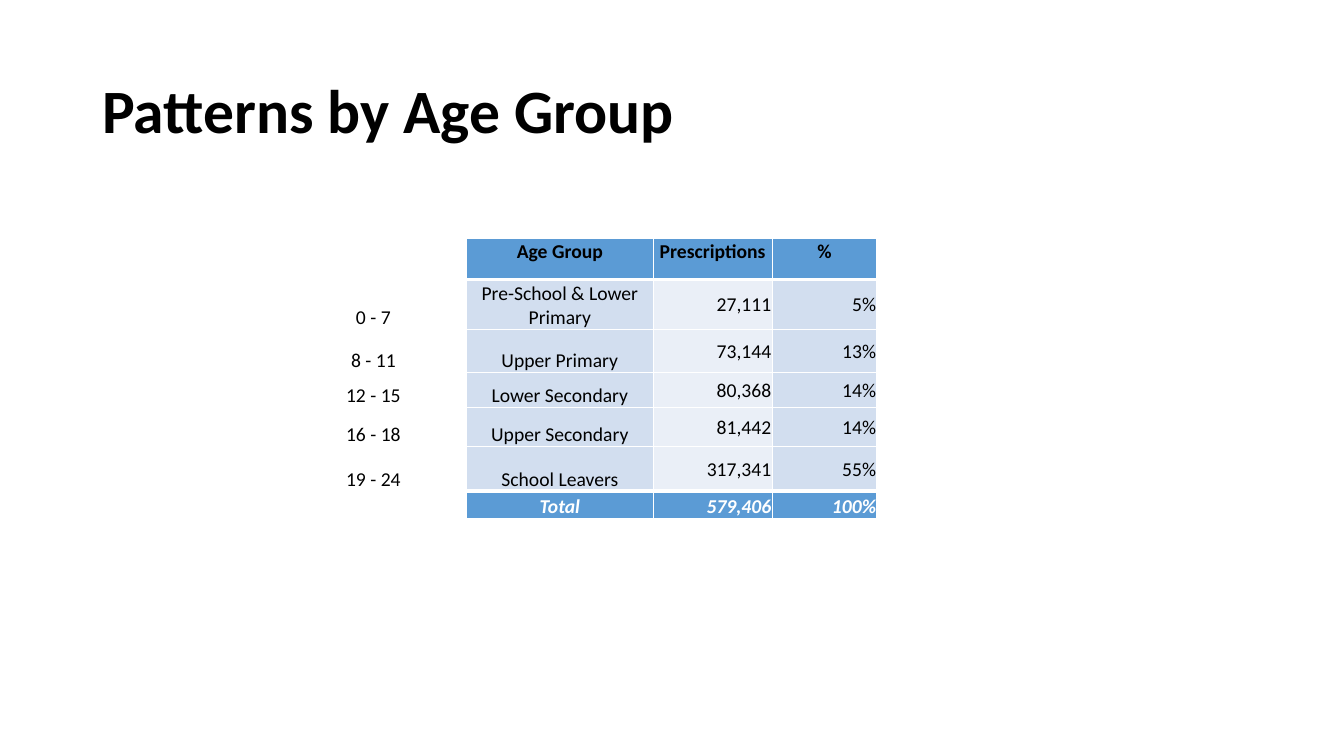
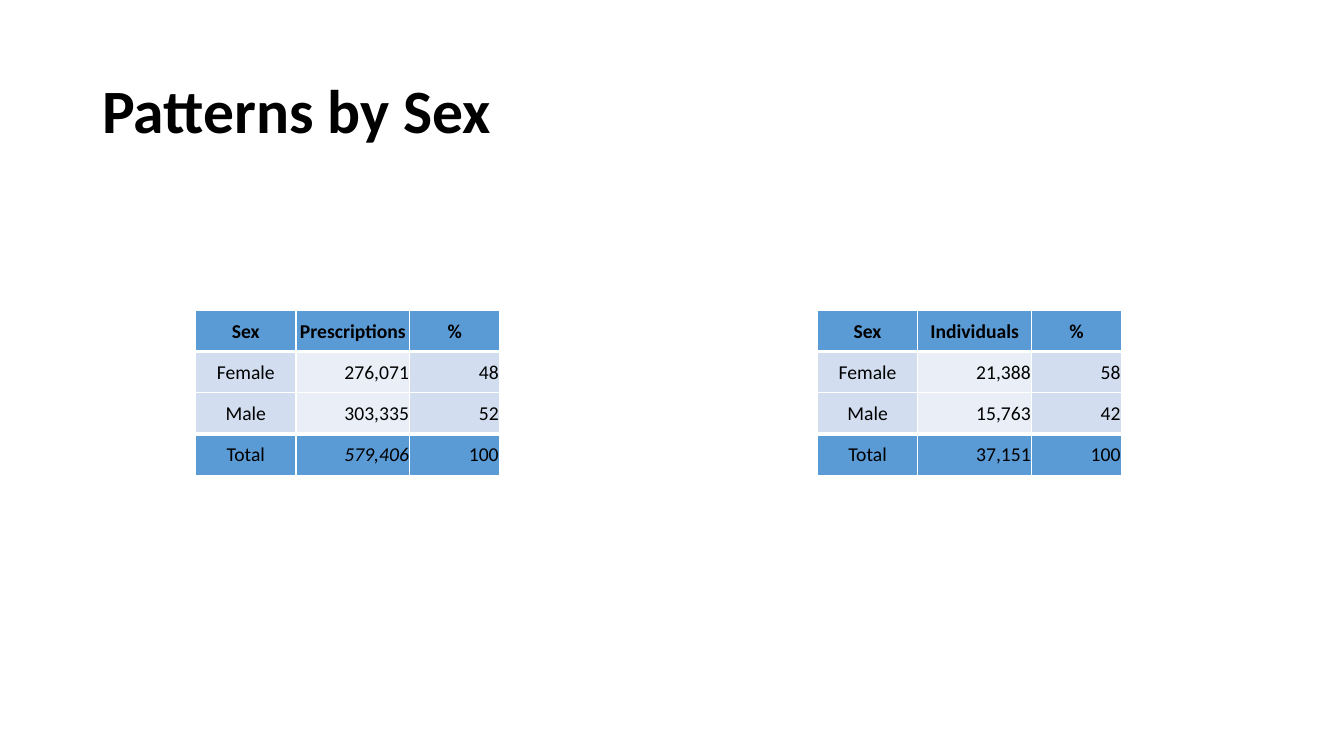
import pptx
import pptx.dml.color
import pptx.enum.text
import pptx.oxml.ns
import pptx.util
from lxml import etree

Cm = pptx.util.Cm
Pt = pptx.util.Pt
RGBColor = pptx.dml.color.RGBColor
ALIGN = pptx.enum.text.PP_ALIGN
ANCHOR = pptx.enum.text.MSO_ANCHOR

BLACK = RGBColor(0x00, 0x00, 0x00)
WHITE = RGBColor(0xFF, 0xFF, 0xFF)
ACCENT = RGBColor(0x5B, 0x9B, 0xD5)
BAND = RGBColor(0xD2, 0xDE, 0xEF)
PALE_BAND = RGBColor(0xEA, 0xEF, 0xF7)

FONT = "Calibri"
TITLE_SIZE = 44
TABLE_SIZE = 14
THIN, THICK = 1, 3


class Deck:
    """Holds the shared style and the slide being filled."""

    def __init__(self):
        self.presentation = pptx.Presentation()
        self.presentation.slide_width = Cm(33.87)
        self.presentation.slide_height = Cm(19.05)
        self.slide = None

    def add_slide(self, title):
        blank = self.presentation.slide_layouts[6]
        self.slide = self.presentation.slides.add_slide(blank)
        heading = self.slide.shapes.add_textbox(Cm(2.33), Cm(1.01), Cm(29.21), Cm(3.68))
        frame = heading.text_frame
        frame.word_wrap = True
        frame.vertical_anchor = ANCHOR.MIDDLE
        frame.text = title
        frame.paragraphs[0].line_spacing = 0.9
        self.style_text(frame, TITLE_SIZE, bold=True)

    def style_text(self, frame, size=TABLE_SIZE, color=BLACK, bold=False, italic=False):
        for paragraph in frame.paragraphs:
            for run in paragraph.runs:
                run.font.name = FONT
                run.font.size = Pt(size)
                run.font.color.rgb = color
                run.font.bold = bold
                run.font.italic = italic

    def set_borders(self, cell, top, bottom):
        """Draw white borders; top and bottom are widths in points."""
        properties = cell._tc.get_or_add_tcPr()
        widths = {"a:lnL": THIN, "a:lnR": THIN, "a:lnT": top, "a:lnB": bottom}
        for tag, width in widths.items():
            line = etree.SubElement(properties, pptx.oxml.ns.qn(tag), w=str(Pt(width)))
            fill = etree.SubElement(line, pptx.oxml.ns.qn("a:solidFill"))
            etree.SubElement(fill, pptx.oxml.ns.qn("a:srgbClr"), val=str(WHITE))

    def fill_cell(self, cell, text, align, anchor, bold=False):
        cell.margin_left = cell.margin_right = cell.margin_top = Cm(0.02)
        cell.margin_bottom = 0
        cell.vertical_anchor = anchor
        cell.text_frame.text = text
        cell.text_frame.paragraphs[0].alignment = align
        self.style_text(cell.text_frame, bold=bold)

    def add_grid(self, left, top, widths, heights):
        """Add an empty table sized by column widths and row heights in cm."""
        table = self.slide.shapes.add_table(
            len(heights), len(widths), Cm(left), Cm(top),
            Cm(sum(widths)), Cm(sum(heights))).table
        table.first_row = table.horz_banding = False
        for column, width in zip(table.columns, widths):
            column.width = Cm(width)
        for row, height in zip(table.rows, heights):
            row.height = Cm(height)
        return table

    def add_data_table(self, left, top, widths, heights, rows,
                       header_anchor=ANCHOR.MIDDLE, label_anchor=ANCHOR.MIDDLE,
                       total_anchor=ANCHOR.MIDDLE):
        """Add a table with a header row, banded columns and a total row."""
        table = self.add_grid(left, top, widths, heights)
        last = len(rows) - 1
        for r, row in enumerate(rows):
            for c, text in enumerate(row):
                cell = table.cell(r, c)
                if r == 0:
                    anchor = header_anchor
                elif r == last:
                    anchor = total_anchor
                else:
                    anchor = label_anchor if c == 0 else ANCHOR.MIDDLE
                align = ALIGN.CENTER if r == 0 or c == 0 else ALIGN.RIGHT
                self.fill_cell(cell, text, align, anchor, bold=r == 0)
                self.set_borders(cell,
                                 top=THICK if r in (1, last) else THIN,
                                 bottom=THICK if r in (0, last - 1) else THIN)
                cell.fill.solid()
                if r in (0, last):
                    cell.fill.fore_color.rgb = ACCENT
                else:
                    cell.fill.fore_color.rgb = PALE_BAND if c == 1 else BAND
        return table

    def add_side_labels(self, left, top, width, heights, labels):
        """Add an unfilled column of labels beside a data table."""
        table = self.add_grid(left, top, [width], heights)
        for r, label in enumerate(labels):
            cell = table.cell(r, 0)
            self.fill_cell(cell, label, ALIGN.CENTER, ANCHOR.BOTTOM)
            cell.fill.background()


def build_age_slide(deck):
    deck.add_slide("Patterns by Age Group")
    left, top = 11.76, 6.02
    widths = [4.7, 3, 2.64]
    heights = [1.02, 1.27, 1.07, 0.89, 0.99, 1.12, 0.69]
    age_groups = deck.add_data_table(left, top, widths, heights, [
        ("Age Group", "Prescriptions", "%"),
        ("Pre-School & Lower Primary", "27,111", "5%"),
        ("Upper Primary", "73,144", "13%"),
        ("Lower Secondary", "80,368", "14%"),
        ("Upper Secondary", "81,442", "14%"),
        ("School Leavers", "317,341", "55%"),
        ("Total", "579,406", "100%"),
    ], header_anchor=ANCHOR.TOP, label_anchor=ANCHOR.BOTTOM, total_anchor=ANCHOR.BOTTOM)
    for total in age_groups.rows[len(heights) - 1].cells:
        deck.style_text(total.text_frame, color=WHITE, bold=True, italic=True)
    deck.add_side_labels(left - widths[0], top + heights[0], widths[0], heights[1:-1],
                         ["0 - 7", "8 - 11", "12 - 15", "16 - 18", "19 - 24"])


def build_sex_slide(deck):
    deck.add_slide("Patterns by Sex")
    top = 7.82
    widths = [2.53, 2.87, 2.26]
    heights = [1.04] * 4
    deck.add_data_table(20.6, top, widths, heights, [
        ("Sex", "Individuals", "%"),
        ("Female", "21,388", "58"),
        ("Male", "15,763", "42"),
        ("Total", "37,151", "100"),
    ])
    prescriptions = deck.add_data_table(4.93, top, widths, heights, [
        ("Sex", "Prescriptions", "%"),
        ("Female", "276,071", "48"),
        ("Male", "303,335", "52"),
        ("Total", "579,406", "100"),
    ])
    deck.style_text(prescriptions.cell(3, 1).text_frame, italic=True)


def main():
    deck = Deck()
    build_age_slide(deck)
    build_sex_slide(deck)
    deck.presentation.save("out.pptx")


if __name__ == "__main__":
    main()
